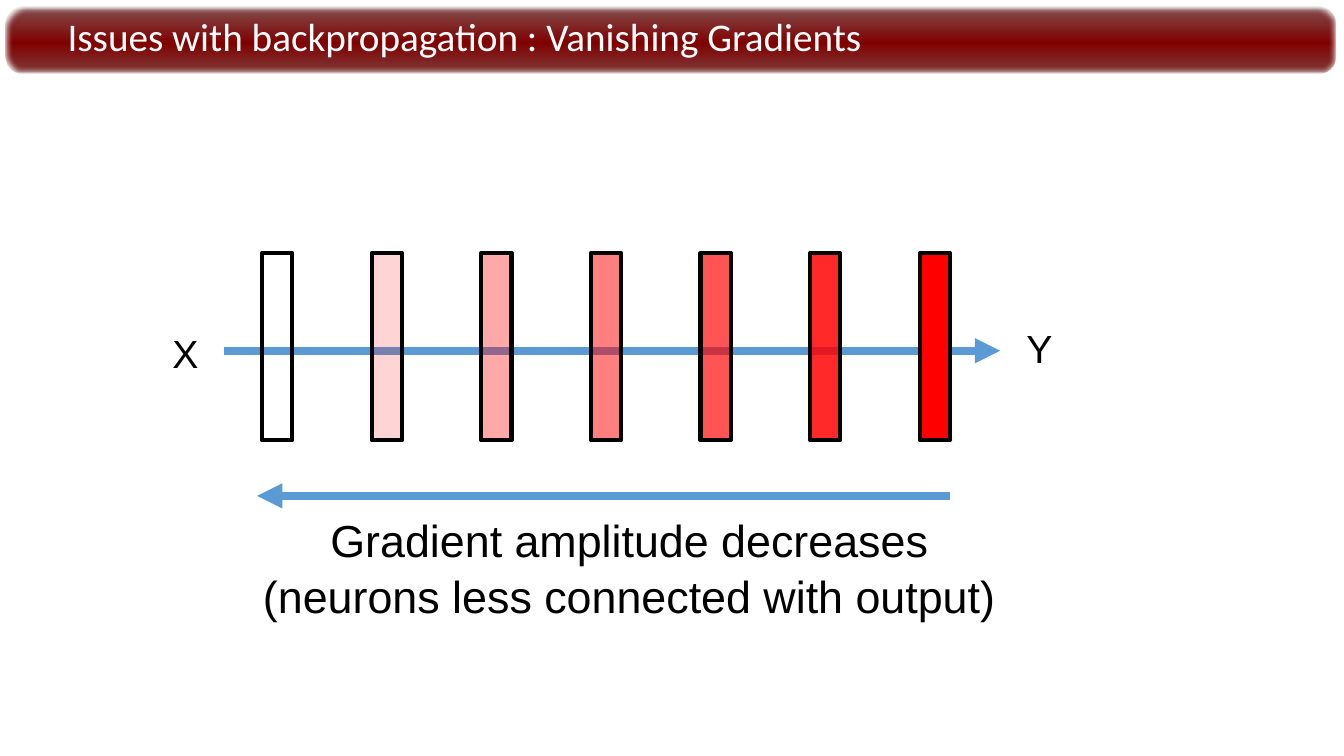
import pptx
import pptx.dml.color
import pptx.enum.shapes
import pptx.enum.text
import pptx.oxml
import pptx.oxml.ns
import pptx.util
from lxml import etree

Inches = pptx.util.Inches
Pt = pptx.util.Pt
ALIGN = pptx.enum.text.PP_ALIGN
ANCHOR = pptx.enum.text.MSO_ANCHOR
SHAPE = pptx.enum.shapes.MSO_SHAPE
qn = pptx.oxml.ns.qn

# Content
TITLE = "Issues with backpropagation : Vanishing Gradients"
CAPTION = "Gradient amplitude decreases (neurons less connected with output)"
ENDPOINTS = [("X", 1.46, 3.19), ("Y", 9.93, 3.15)]
LAYER_OPACITY = [0, 17, 34, 50, 67, 84, 100]  # percent, input to output
FORWARD_ARROW = (2.22, 9.92, 3.48)  # start x, end x, y
BACKWARD_ARROW = (9.42, 2.55, 4.92)

THEME = {
    "title_font": "Calibri", "body_font": "Arial",
    "title_size": 28, "endpoint_size": 28, "caption_size": 32,
    "title_color": "FFFFFF", "text_color": "000000",
    "arrow": "5B9BD5", "layer": "FF0000", "outline": "000000",
    "arrow_width": 6, "outline_width": 3,
    # position, colour, opacity in percent
    "banner": [(0, "808080", 50), (5, "814949", 100), (54, "800000", 100),
               (96, "7F3838", 100), (100, "808080", 50)],
}

# Layout
LAYER_LEFT, LAYER_TOP, LAYER_PITCH = 2.6, 2.51, 1.087
LAYER_WIDTH, LAYER_HEIGHT = 0.3, 1.86


def rgb(key):
    return pptx.dml.color.RGBColor.from_string(THEME[key])


def add_text(slide, text, box, font, size, color, align=ALIGN.CENTER, spacing=1.05):
    frame = slide.shapes.add_textbox(*map(Inches, box)).text_frame
    frame.word_wrap = True
    paragraph = frame.paragraphs[0]
    paragraph.text = text
    paragraph.alignment = align
    paragraph.line_spacing = spacing
    paragraph.font.name = THEME[font]
    paragraph.font.size = Pt(THEME[size])
    paragraph.font.color.rgb = rgb(color)
    return frame


def add_arrow(slide, start, end, y):
    arrow = slide.shapes.add_connector(
        pptx.enum.shapes.MSO_CONNECTOR.STRAIGHT,
        Inches(start), Inches(y), Inches(end), Inches(y))
    arrow.line.color.rgb = rgb("arrow")
    arrow.line.width = Pt(THEME["arrow_width"])
    etree.SubElement(arrow.line._get_or_add_ln(), qn("a:tailEnd"), type="triangle")
    etree.SubElement(arrow._element.spPr, qn("a:effectLst"))


def add_banner(slide):
    banner = slide.shapes.add_shape(
        SHAPE.ROUNDED_RECTANGLE, *map(Inches, (0.05, 0.07, 13.2, 0.66)))
    banner.adjustments[0] = 0.271
    banner.line.fill.background()
    stops = "".join(
        f'<a:gs pos="{position * 1000}"><a:srgbClr val="{color}">'
        f'<a:alpha val="{opacity * 1000}"/></a:srgbClr></a:gs>'
        for position, color, opacity in THEME["banner"])
    gradient = pptx.oxml.parse_xml(
        f'<a:gradFill {pptx.oxml.ns.nsdecls("a")} rotWithShape="1">'
        f'<a:gsLst>{stops}</a:gsLst><a:lin ang="5400000" scaled="0"/></a:gradFill>')
    properties = banner._element.spPr
    properties.find(qn("a:prstGeom")).addnext(gradient)
    # Blurred edge
    banner.shadow.inherit = False
    etree.SubElement(properties.find(qn("a:effectLst")), qn("a:softEdge"), rad="31750")


def add_layer(slide, index, opacity):
    layer = slide.shapes.add_shape(
        SHAPE.RECTANGLE, Inches(LAYER_LEFT + index * LAYER_PITCH), Inches(LAYER_TOP),
        Inches(LAYER_WIDTH), Inches(LAYER_HEIGHT))
    layer.shadow.inherit = False
    layer.line.color.rgb = rgb("outline")
    layer.line.width = Pt(THEME["outline_width"])
    if opacity == 0:
        layer.fill.background()
        return
    layer.fill.solid()
    layer.fill.fore_color.rgb = rgb("layer")
    if opacity < 100:
        color = layer._element.spPr.find(qn("a:solidFill")).find(qn("a:srgbClr"))
        etree.SubElement(color, qn("a:alpha"), val=str(opacity * 1000))


def main():
    deck = pptx.Presentation()
    deck.slide_width, deck.slide_height = Inches(13.33), Inches(7.5)
    slide = deck.slides.add_slide(deck.slide_layouts[6])

    # Banner and title, with the forward pass behind the layers
    add_banner(slide)
    add_arrow(slide, *FORWARD_ARROW)
    title = add_text(slide, TITLE, (0.67, 0.11, 12.43, 0.55), "title_font",
                     "title_size", "title_color", ALIGN.LEFT, 0.9)
    title.vertical_anchor = ANCHOR.MIDDLE
    title.margin_left = title.margin_right = title.margin_top = title.margin_bottom = 0

    # Network layers, fading towards the input
    for index, opacity in enumerate(LAYER_OPACITY):
        add_layer(slide, index, opacity)
    for label, left, top in ENDPOINTS:
        add_text(slide, label, (left, top, 0.76, 0.57),
                 "body_font", "endpoint_size", "text_color")

    # Gradient flow
    add_arrow(slide, *BACKWARD_ARROW)
    add_text(slide, CAPTION, (2.46, 5.01, 7.57, 1.18),
             "body_font", "caption_size", "text_color")

    deck.save("out.pptx")


if __name__ == "__main__":
    main()
